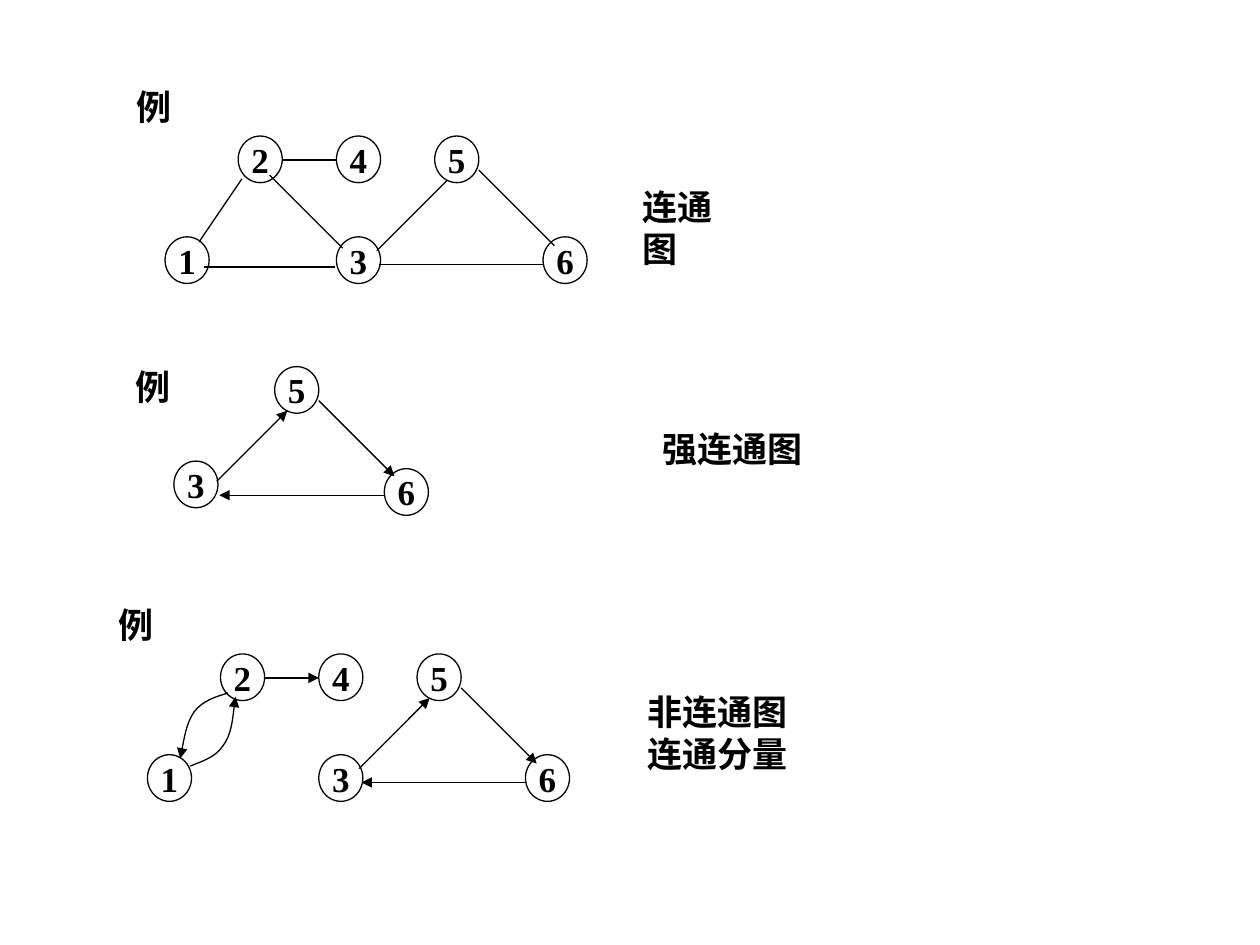
from dataclasses import dataclass
from typing import NamedTuple

from lxml import etree
from pptx import Presentation
from pptx import util as u
from pptx.dml.color import RGBColor
from pptx.enum import shapes, text
from pptx.oxml import ns

INK = RGBColor(0, 0, 0)
FONT = "Times New Roman"
TEXT_SIZE = u.Pt(20)
LINE_WIDTH = u.Pt(0.75)
COLUMNS, ROWS = 100, 75
CELL = u.Inches(10) // COLUMNS


class Spot(NamedTuple):
    column: float
    row: float

    def shifted(self, origin: "Spot") -> "Spot":
        return Spot(self.column + origin.column, self.row + origin.row)

    def emu(self) -> tuple[int, int]:
        return round(self.column * CELL), round(self.row * CELL)


@dataclass(frozen=True)
class Caption:
    lines: str
    at: Spot
    size: Spot
    align: text.PP_ALIGN = text.PP_ALIGN.LEFT


@dataclass(frozen=True)
class Graph:
    origin: Spot
    heading: Caption
    verdict: Caption
    vertices: dict[str, Spot]
    edges: tuple[str, ...]
    directed: bool = True
    arcs: tuple[tuple[Spot, ...], ...] = ()


VERTEX_SIZE = Spot(3.5, 3.7)
HEADING_SIZE = Spot(4.8, 4.4)
VERTICES = {
    "2": Spot(5.8, 0), "4": Spot(13.6, 0), "5": Spot(21.4, 0),
    "1": Spot(0, 8), "3": Spot(13.6, 8), "6": Spot(30, 8),
}
EDGES = {
    "2-4": (Spot(9.3, 1.9), Spot(13.6, 1.9)),
    "2-3": (Spot(8.3, 3.1), Spot(14.1, 8.9)),
    "6-3": (Spot(30.1, 10.2), Spot(17, 10.2)),
    "3-5": (Spot(16.8, 9.1), Spot(22.4, 3.5)),
    "5-6": (Spot(24.9, 2.7), Spot(30.9, 8.7)),
    "3-1": (Spot(13.5, 10.4), Spot(3.1, 10.4)),
    "1-2": (Spot(2.7, 8.4), Spot(6.1, 3.4)),
}
TRIANGLE = ("6-3", "3-5", "5-6")
ARC_DOWN = (Spot(6.4, 3.1), Spot(5.4, 3.4), Spot(4.4, 3.7), Spot(3.7, 4.6),
            Spot(3.1, 5.5), Spot(2.7, 7.8), Spot(2.6, 8.3))
ARC_UP = (Spot(3.4, 8.9), Spot(4.4, 8.5), Spot(5.4, 8.2), Spot(6, 7.3),
          Spot(6.7, 6.4), Spot(6.9, 4), Spot(7, 3.4))

GRAPHS = (
    Graph(Spot(13.1, 10.8),
          Caption("例", Spot(9.8, 6.3), HEADING_SIZE, text.PP_ALIGN.CENTER),
          Caption("连通图", Spot(50, 14.2), Spot(10.3, 4.4)),
          VERTICES, tuple(EDGES), directed=False),
    Graph(Spot(0.4, 29.1),
          Caption("例", Spot(9.8, 28.5), HEADING_SIZE),
          Caption("强连通图", Spot(51.6, 33.4), Spot(13.1, 4.4)),
          {"3": Spot(13.4, 7.5), "5": VERTICES["5"], "6": Spot(30.1, 8.1)},
          TRIANGLE),
    Graph(Spot(11.7, 51.9),
          Caption("例", Spot(8.4, 47.4), HEADING_SIZE, text.PP_ALIGN.CENTER),
          Caption("非连通图\n连通分量", Spot(50.4, 54.3), Spot(13.1, 7.7)),
          VERTICES, ("2-4",) + TRIANGLE, arcs=(ARC_DOWN, ARC_UP)),
)


def write(frame, words: str, *, align=text.PP_ALIGN.CENTER,
          anchor=text.MSO_ANCHOR.MIDDLE, fit=text.MSO_AUTO_SIZE.NONE) -> None:
    frame.text = words
    frame.word_wrap = False
    frame.auto_size = fit
    frame.vertical_anchor = anchor
    for paragraph in frame.paragraphs:
        paragraph.alignment = align
        font = paragraph.font
        font.name, font.size, font.bold = FONT, TEXT_SIZE, True
        font.color.rgb = INK


def draw_caption(canvas, caption: Caption) -> None:
    box = canvas.add_textbox(*caption.at.emu(), *caption.size.emu())
    write(box.text_frame, caption.lines, align=caption.align,
          anchor=text.MSO_ANCHOR.TOP, fit=text.MSO_AUTO_SIZE.SHAPE_TO_FIT_TEXT)


def ink(line, arrow: bool = False) -> None:
    line.color.rgb = INK
    line.width = LINE_WIDTH
    if arrow:
        etree.SubElement(line._get_or_add_ln(), ns.qn("a:tailEnd"), type="triangle")


def draw_vertex(canvas, name: str, at: Spot) -> None:
    vertex = canvas.add_shape(shapes.MSO_SHAPE.OVAL, *at.emu(), *VERTEX_SIZE.emu())
    vertex.shadow.inherit = False
    vertex.fill.background()
    ink(vertex.line)
    write(vertex.text_frame, name)


def draw_edge(canvas, start: Spot, end: Spot, arrow: bool) -> None:
    edge = canvas.add_connector(shapes.MSO_CONNECTOR.STRAIGHT, *start.emu(), *end.emu())
    ink(edge.line, arrow)
    etree.SubElement(edge._element.spPr, ns.qn("a:effectLst"))


def draw_arc(canvas, spots: list[Spot]) -> None:
    start, *rest = [spot.emu() for spot in spots]
    builder = canvas.build_freeform(*start)
    builder.add_line_segments(rest, close=False)
    arc = builder.convert_to_shape()
    arc.shadow.inherit = False
    arc.fill.background()
    ink(arc.line, arrow=True)
    segments = list(arc._element.iter(ns.qn("a:lnTo")))
    for first in range(0, len(segments), 3):
        curve = etree.Element(ns.qn("a:cubicBezTo"))
        segments[first].addprevious(curve)
        for segment in segments[first:first + 3]:
            curve.append(segment[0])
            segment.getparent().remove(segment)


def draw_graph(slide, graph: Graph) -> None:
    draw_caption(slide.shapes, graph.verdict)
    canvas = slide.shapes.add_group_shape().shapes
    draw_caption(canvas, graph.heading)
    for name, at in graph.vertices.items():
        draw_vertex(canvas, name, at.shifted(graph.origin))
    for edge in graph.edges:
        start, end = (spot.shifted(graph.origin) for spot in EDGES[edge])
        draw_edge(canvas, start, end, graph.directed)
    for arc in graph.arcs:
        draw_arc(canvas, [spot.shifted(graph.origin) for spot in arc])


def main() -> None:
    deck = Presentation()
    deck.slide_width, deck.slide_height = COLUMNS * CELL, ROWS * CELL
    slide = deck.slides.add_slide(deck.slide_layouts[6])
    for graph in GRAPHS:
        draw_graph(slide, graph)
    deck.save("out.pptx")


if __name__ == "__main__":
    main()
